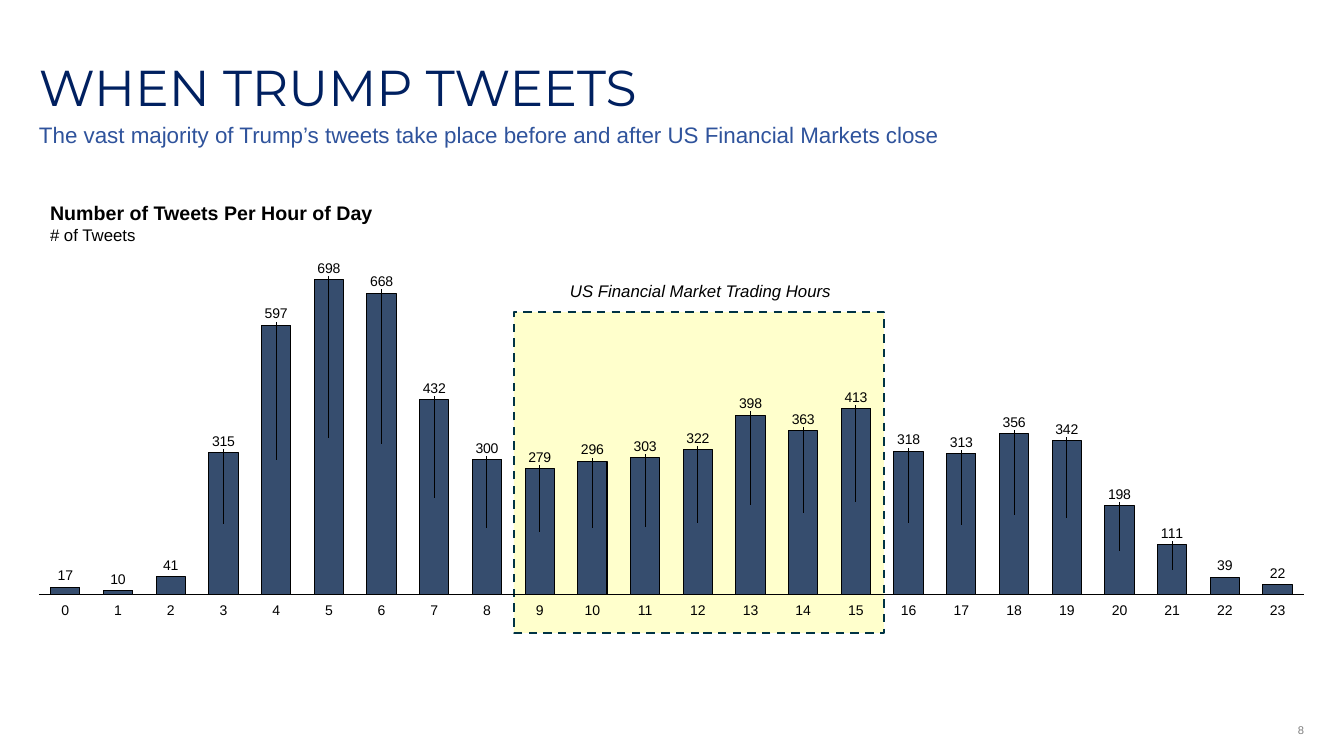
from lxml.etree import fromstring
from pptx import Presentation
from pptx.chart.data import CategoryChartData
from pptx.dml.color import RGBColor
from pptx.enum.chart import XL_CHART_TYPE, XL_LABEL_POSITION, XL_TICK_LABEL_POSITION, XL_TICK_MARK
from pptx.enum.dml import MSO_LINE
from pptx.enum.shapes import MSO_SHAPE
from pptx.enum.text import MSO_ANCHOR, PP_ALIGN
from pptx.util import Emu, Pt

BLACK = RGBColor(0x00, 0x00, 0x00)
GREY = RGBColor(0x80, 0x80, 0x80)
NAVY = RGBColor(0x00, 0x20, 0x60)
BLUE = RGBColor(0x2F, 0x53, 0x9C)
SLATE = RGBColor(0x36, 0x4D, 0x6E)
TEAL = RGBColor(0x00, 0x33, 0x44)
YELLOW = RGBColor(0xFF, 0xFF, 0xCC)

CHART_NS = "http://schemas.openxmlformats.org/drawingml/2006/chart"

TWEETS = [17, 10, 41, 315, 597, 698, 668, 432, 300, 279, 296, 303,
          322, 398, 363, 413, 318, 313, 356, 342, 198, 111, 39, 22]
CHART_LEFT, CHART_TOP, CHART_WIDTH, CHART_HEIGHT = 30, 257, 1283, 347
PLOT = {"x": 0.007, "y": 0.065, "w": 0.986, "h": 0.909}
LABEL_GAP = 11


def px(length):
    """Turn px (100.8 to the inch) into EMU."""
    return Emu(round(length * 914400 / 100.8))


def manual_layout(inner=False, **fractions):
    target = '<c:layoutTarget val="inner"/>' if inner else ""
    modes = '<c:xMode val="edge"/><c:yMode val="edge"/>' if inner else ""
    values = "".join(f'<c:{key} val="{value:.4f}"/>' for key, value in fractions.items())
    return fromstring(f'<c:layout xmlns:c="{CHART_NS}"><c:manualLayout>'
                      f'{target}{modes}{values}</c:manualLayout></c:layout>')


class SlideBuilder:
    font = "Arial"

    def __init__(self, deck):
        self.page = deck.slides.add_slide(deck.slide_layouts[6])

    def text(self, lines, left, top, width, height, size=12, color=BLACK, font=None,
             bold=False, italic=False, align=PP_ALIGN.LEFT, anchor=MSO_ANCHOR.TOP,
             insets=(0, 0, 0, 0), spacing=None, wrap=True):
        """Each line is a string, or a (string, size, bold) tuple."""
        box = self.page.shapes.add_textbox(px(left), px(top), px(width), px(height))
        frame = box.text_frame
        frame.word_wrap = wrap
        frame.vertical_anchor = anchor
        (frame.margin_left, frame.margin_top,
         frame.margin_right, frame.margin_bottom) = map(px, insets)
        for index, line in enumerate(lines):
            words, line_size, line_bold = (line, size, bold) if isinstance(line, str) else line
            para = frame.add_paragraph() if index else frame.paragraphs[0]
            para.alignment = align
            if spacing:
                para.line_spacing = spacing
            span = para.add_run()
            span.text = words
            span.font.name = font or self.font
            span.font.size = Pt(line_size)
            span.font.bold = line_bold
            span.font.italic = italic
            span.font.color.rgb = color
        return box

    def dashed_panel(self, left, top, width, height):
        panel = self.page.shapes.add_shape(
            MSO_SHAPE.RECTANGLE, px(left), px(top), px(width), px(height))
        panel.shadow.inherit = False
        panel.fill.solid()
        panel.fill.fore_color.rgb = YELLOW
        panel.line.color.rgb = TEAL
        panel.line.width = Pt(1.5)
        panel.line.dash_style = MSO_LINE.DASH

    def column_chart(self, values, left, top, width, height):
        data = CategoryChartData()
        data.categories = [str(number) for number in range(1, len(values) + 1)]
        data.add_series("Series 1", values)
        chart = self.page.shapes.add_chart(
            XL_CHART_TYPE.COLUMN_STACKED, px(left), px(top), px(width), px(height), data).chart
        chart.has_legend = False
        chart.has_title = False
        chart.font.name = self.font
        chart.font.size = Pt(10)
        chart.font.color.rgb = BLACK

        # Axes
        chart.value_axis.minimum_scale = 0
        chart.value_axis.maximum_scale = max(values)
        chart.value_axis.has_major_gridlines = False
        chart.value_axis.visible = False
        hours = chart.category_axis
        hours.tick_label_position = XL_TICK_LABEL_POSITION.NONE
        hours.major_tick_mark = hours.minor_tick_mark = XL_TICK_MARK.NONE
        hours.format.line.color.rgb = BLACK
        hours.format.line.width = Pt(0.75)

        # Columns
        plot = chart.plots[0]
        plot.gap_width = 80
        plot.overlap = 100
        plot.vary_by_categories = False
        series = plot.series[0]
        series.format.fill.solid()
        series.format.fill.fore_color.rgb = SLATE
        series.format.line.color.rgb = BLACK
        series.format.line.width = Pt(0.75)

        # Plot area
        area = chart.element.find(f".//{{{CHART_NS}}}plotArea")
        for old in area.findall(f"{{{CHART_NS}}}layout"):
            area.remove(old)
        area.insert(0, manual_layout(inner=True, **PLOT))

        # Value labels, lifted from the column centre to above its top
        for index in range(len(values)):
            series.points[index].data_label.position = XL_LABEL_POSITION.CENTER
        labels = area.find(f".//{{{CHART_NS}}}dLbls")
        for label, value in zip(labels.findall(f"{{{CHART_NS}}}dLbl"), values):
            lift = value / max(values) * PLOT["h"] / 2 + LABEL_GAP / height
            label.insert(1, manual_layout(x=0, y=-lift))


def main():
    deck = Presentation()
    deck.slide_width, deck.slide_height = px(1344), px(756)
    slide = SlideBuilder(deck)

    # Trading hours panel, behind the chart
    slide.dashed_panel(514, 312, 370, 321)

    # Page number and headings
    slide.text(["8"], 1280, 721, 24, 18, size=8, color=GREY,
               align=PP_ALIGN.RIGHT, anchor=MSO_ANCHOR.MIDDLE)
    slide.text(["WHEN TRUMP TWEETS"], 39, 61, 1265, 60, size=36, color=NAVY,
               font="Montserrat", insets=(0, 7, 0, 0), spacing=0.8)
    slide.text(["The vast majority of Trump’s tweets take place before and after "
                "US Financial Markets close"], 39, 121, 1265, 45, size=16, color=BLUE)

    # Chart with the hours below its columns
    slide.column_chart(TWEETS, CHART_LEFT, CHART_TOP, CHART_WIDTH, CHART_HEIGHT)
    step = CHART_WIDTH * PLOT["w"] / len(TWEETS)
    first = CHART_LEFT + CHART_WIDTH * PLOT["x"] + step / 2
    for hour in range(len(TWEETS)):
        width = 9 * len(str(hour))
        slide.text([str(hour)], first + hour * step - width / 2, 600, width, 18, size=10,
                   align=PP_ALIGN.CENTER, spacing=1.1, wrap=False)

    # Chart captions
    slide.text(["US Financial Market Trading Hours"], 529, 276, 343, 30, italic=True,
               align=PP_ALIGN.CENTER, insets=(10, 5, 10, 5))
    slide.text([("Number of Tweets Per Hour of Day", 14, True), "# of Tweets"],
               40, 196, 455, 54, insets=(10, 5, 10, 5))
    deck.save("out.pptx")


if __name__ == "__main__":
    main()
